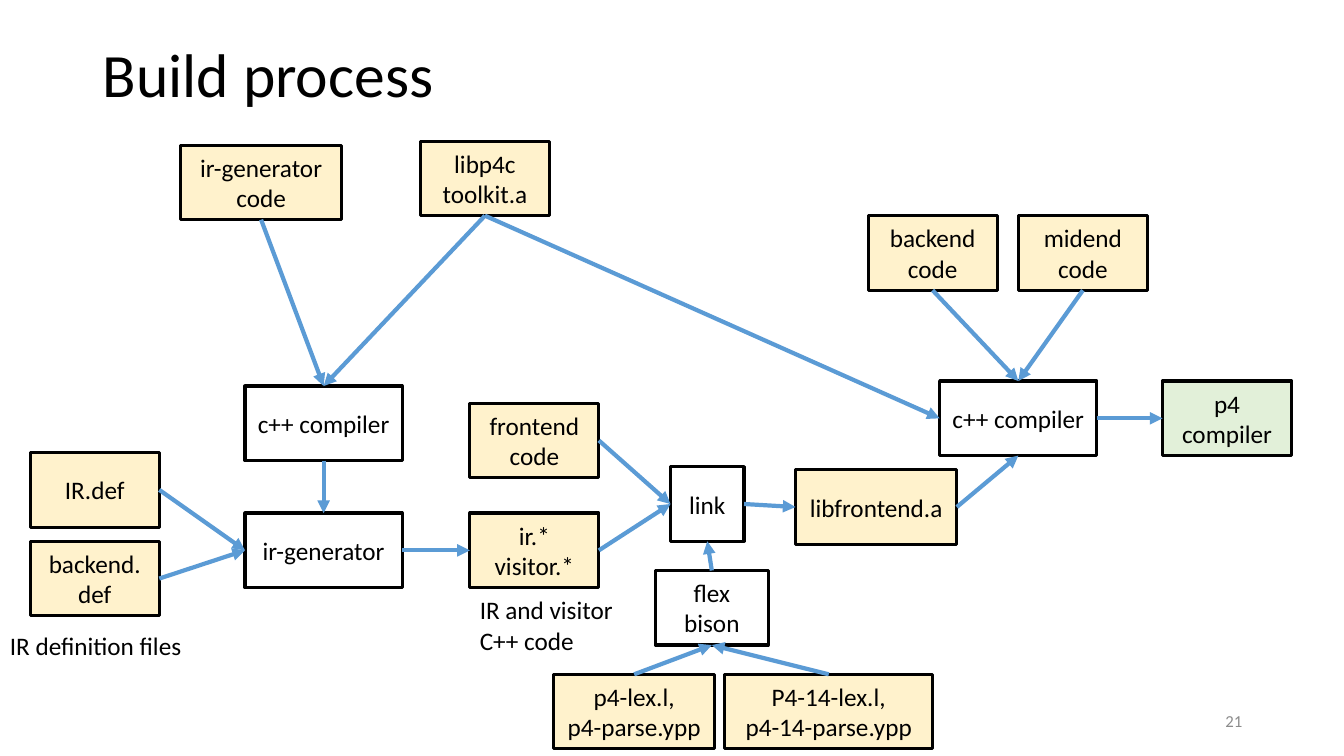
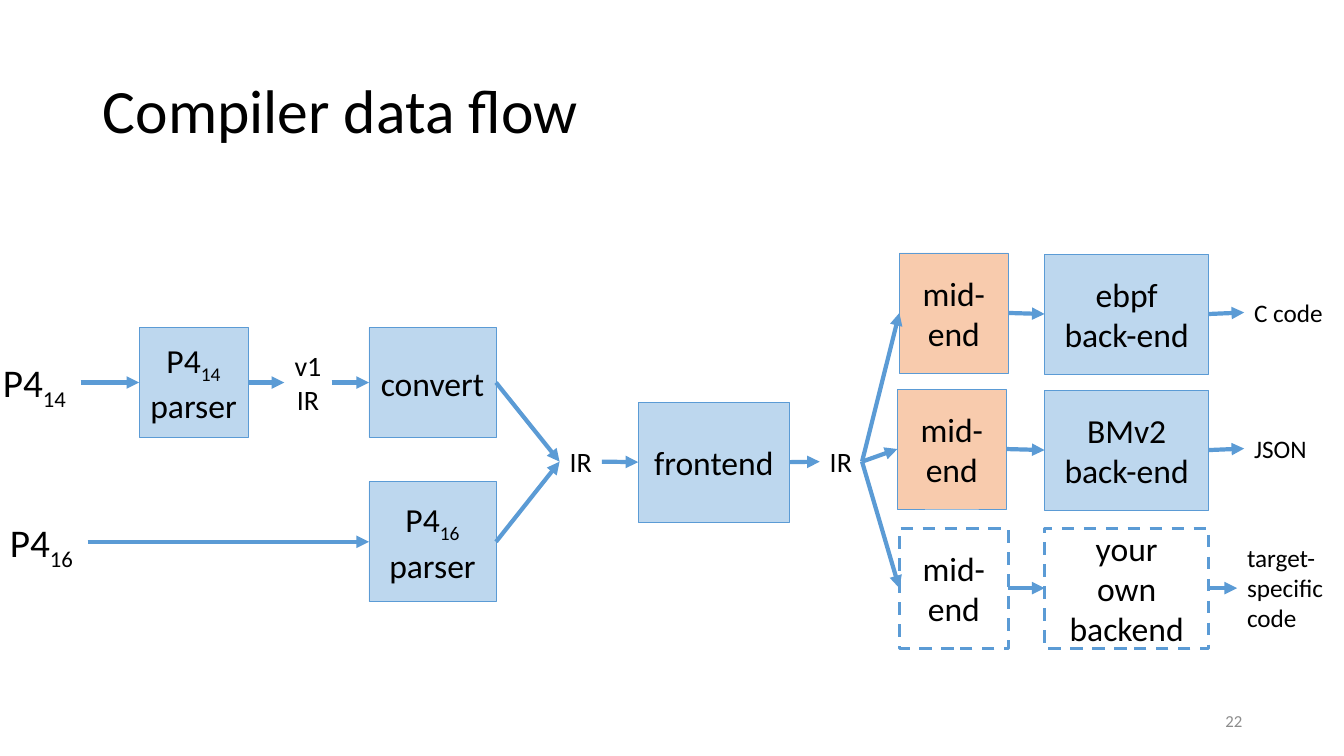
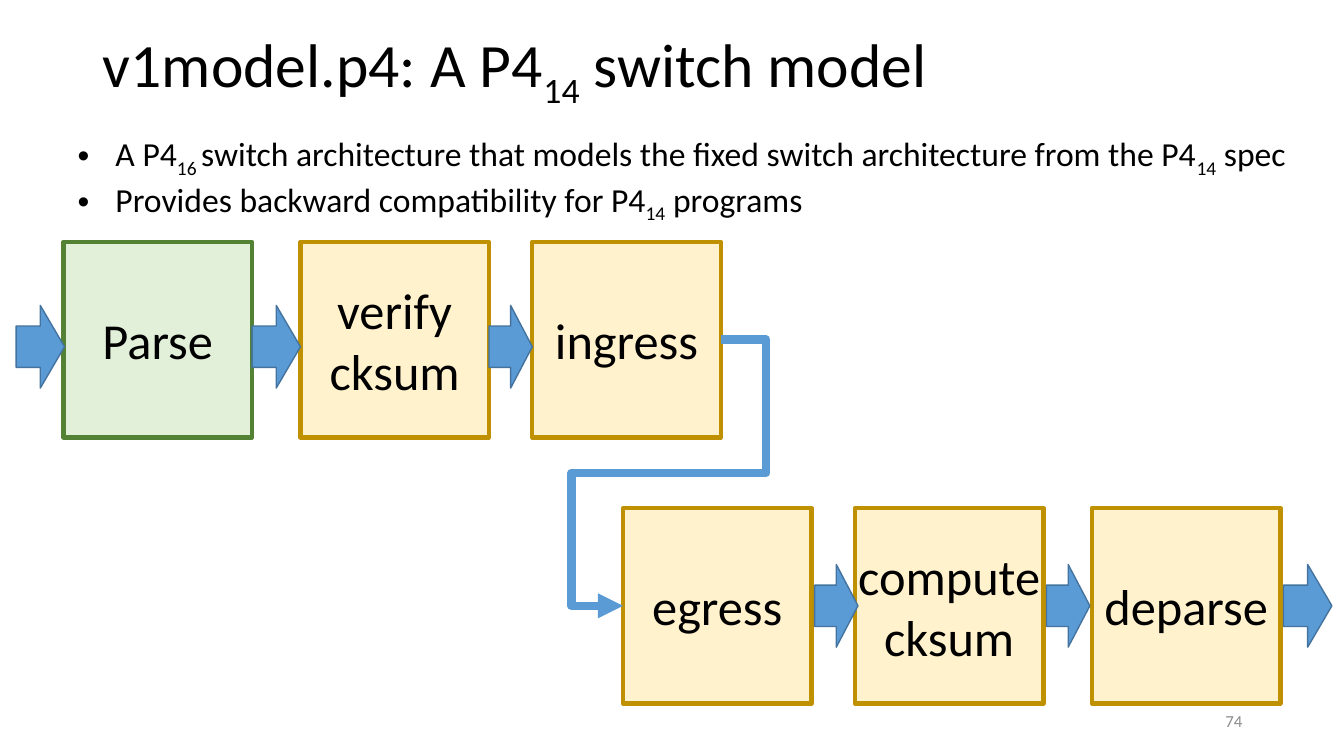
from lxml import etree
from pptx import Presentation
from pptx.dml.color import RGBColor
from pptx.enum.dml import MSO_LINE
from pptx.enum.shapes import MSO_CONNECTOR, MSO_SHAPE
from pptx.enum.text import MSO_ANCHOR, MSO_AUTO_SIZE, PP_ALIGN
from pptx.oxml.ns import qn
from pptx.util import Emu, Pt

PX = 9144  # EMU per px, 100 px to the inch
FONT = "Calibri"
LEFT, CENTER, RIGHT = PP_ALIGN.LEFT, PP_ALIGN.CENTER, PP_ALIGN.RIGHT
MIDDLE, TOP = MSO_ANCHOR.MIDDLE, MSO_ANCHOR.TOP
STRAIGHT, ELBOW = MSO_CONNECTOR.STRAIGHT, MSO_CONNECTOR.ELBOW
TITLE_ONLY, TITLE_AND_CONTENT = 5, 1
SITES = {"top": 0, "left": 1, "bottom": 2, "right": 3}

COLORS = {
    "text": "000000", "number": "8C8C8C", "white": "FFFFFF",
    "cream": "FFF2CC", "gold": "BF9000",
    "mint": "E2F0D9", "green": "548235",
    "sky": "BDD7EE", "blue": "5B9BD5", "navy": "43739E", "peach": "F8CBAD",
}

# style: text size, fill, outline, outline width, dashed
BOX_STYLES = {
    "input": (18, "cream", "text", 2.25, False),
    "tool": (18, "white", "text", 2.25, False),
    "product": (18, "mint", "text", 2.25, False),
    "stage": (24, "sky", "blue", 0.5, False),
    "midend": (24, "peach", "blue", 0.5, False),
    "custom": (24, None, "blue", 2.25, True),
    "parser": (36, "mint", "green", 3, False),
    "control": (36, "cream", "gold", 3, False),
}
# style: text size, alignment
LABEL_STYLES = {
    "note": (18, LEFT),
    "language": (28, LEFT),
    "ir": (20, CENTER),
}

# Text between tildes is subscript.
# part: text, style, left, top, width, height
BUILD_PARTS = {
    "ir def": ("IR.def", "input", 30, 449, 128, 74),
    "backend def": ("backend.\ndef", "input", 30, 537, 128, 74),
    "definition note": ("IR definition files", "note", 0, 620, 193, 40),
    "generator code": ("ir-generator\ncode", "input", 179, 144, 160, 74),
    "toolkit": ("libp4c\ntoolkit.a", "input", 417, 140, 128, 74),
    "generator compiler": ("c++ compiler", "tool", 243, 383, 156, 74),
    "generator": ("ir-generator", "tool", 243, 509, 156, 74),
    "frontend code": ("frontend\ncode", "input", 466, 400, 128, 74),
    "visitor code": ("ir.*\nvisitor.*", "input", 466, 509, 128, 74),
    "visitor note": ("IR and visitor\nC++ code", "note", 466, 585, 159, 71),
    "link": ("link", "tool", 665, 463, 73, 74),
    "flex bison": ("flex\nbison", "tool", 650, 566, 112, 74),
    "p4 grammar": ("p4-lex.l,\np4-parse.ypp", "input", 549, 669, 160, 74),
    "p4-14 grammar": ("P4-14-lex.l,\np4-14-parse.ypp", "input", 719, 669, 206, 74),
    "libfrontend": ("libfrontend.a", "input", 789, 466, 160, 74),
    "backend code": ("backend\ncode", "input", 861, 214, 128, 74),
    "midend code": ("midend\ncode", "input", 1010, 214, 128, 74),
    "final compiler": ("c++ compiler", "tool", 932, 378, 156, 74),
    "p4 compiler": ("p4\ncompiler", "product", 1153, 378, 128, 74),
}
# arrow: from part, side, to part, side
BUILD_ARROWS = [
    ("ir def", "right", "generator", "left"),
    ("backend def", "right", "generator", "left"),
    ("generator code", "bottom", "generator compiler", "top"),
    ("toolkit", "bottom", "generator compiler", "top"),
    ("toolkit", "bottom", "final compiler", "left"),
    ("generator compiler", "bottom", "generator", "top"),
    ("generator", "right", "visitor code", "left"),
    ("frontend code", "right", "link", "left"),
    ("visitor code", "right", "link", "left"),
    ("p4 grammar", "top", "flex bison", "bottom"),
    ("p4-14 grammar", "top", "flex bison", "bottom"),
    ("flex bison", "top", "link", "bottom"),
    ("link", "right", "libfrontend", "left"),
    ("libfrontend", "right", "final compiler", "bottom"),
    ("backend code", "bottom", "final compiler", "top"),
    ("midend code", "bottom", "final compiler", "top"),
    ("final compiler", "right", "p4 compiler", "left"),
]

FLOW_PARTS = {
    "p4-14": ("P4~14~", "language", -7, 351, 87, 57),
    "p4-16": ("P4~16~", "language", 0, 509, 87, 57),
    "p4-14 parser": ("P4~14~\nparser", "stage", 138, 325, 108, 109),
    "v1 ir": ("v1\nIR", "ir", 282, 341, 47, 77),
    "convert": ("convert", "stage", 366, 325, 126, 109),
    "p4-16 parser": ("P4~16~\nparser", "stage", 366, 478, 126, 119),
    "ir in": ("IR", "ir", 555, 436, 42, 44),
    "frontend": ("frontend", "stage", 633, 399, 150, 119),
    "ir out": ("IR", "ir", 813, 436, 42, 44),
    "ebpf midend": ("mid-\nend", "midend", 892, 251, 108, 119),
    "bmv2 midend": ("mid-\nend", "midend", 890, 386, 108, 119),
    "own midend": ("mid-\nend", "custom", 892, 524, 108, 119),
    "ebpf backend": ("ebpf\nback-end", "stage", 1036, 252, 163, 119),
    "bmv2 backend": ("BMv2\nback-end", "stage", 1036, 387, 163, 119),
    "own backend": ("your\nown\nbackend", "custom", 1036, 524, 163, 119),
    "c code": ("C code", "note", 1234, 290, 89, 40),
    "json": ("JSON", "note", 1234, 425, 73, 40),
    "target code": ("target-\nspecific\ncode", "note", 1227, 533, 97, 101),
}
FLOW_PATHS = [
    ("p4-14", "p4-14 parser", "v1 ir", "convert", "ir in", "frontend", "ir out"),
    ("p4-16", "p4-16 parser", "ir in"),
    ("ir out", "ebpf midend", "ebpf backend", "c code"),
    ("ir out", "bmv2 midend", "bmv2 backend", "json"),
    ("ir out", "own midend", "own backend", "target code"),
]
FLOW_ARROWS = [(start, "right", end, "left")
               for path in FLOW_PATHS for start, end in zip(path, path[1:])]

MODEL_POINTS = ("A P4~16 ~switch architecture that models the fixed switch "
                "architecture from the P4~14~ spec\n"
                "Provides backward compatibility for P4~14~ programs")
STAGE_SIZE = (187, 194)
# row: stage top, stages (text, style, left), arrow top, arrows (left, width)
MODEL_ROWS = [
    (240, [("Parse", "parser", 63), ("verify\ncksum", "control", 298),
           ("ingress", "control", 528)],
     303, [(16, 48), (250, 48), (485, 43)]),
    (504, [("egress", "control", 618), ("compute\ncksum", "control", 848),
           ("deparse", "control", 1083)],
     560, [(808, 43), (1038, 43), (1273, 48)]),
]
BLOCK_ARROW_HEIGHT = 82
WRAP_BENDS = {"adj1": -46500, "adj2": 50000, "adj3": 152700}


def rgb(name):
    return RGBColor.from_string(COLORS[name])


def px(*lengths):
    return [Emu(length * PX) for length in lengths]


def write(frame, text, size, align, anchor, color="text", wrap=False, spacing=None):
    """Fill a frame: one paragraph a line, subscripts between tildes."""
    frame.word_wrap = wrap
    frame.vertical_anchor = anchor
    for index, line in enumerate(text.split("\n")):
        paragraph = frame.add_paragraph() if index else frame.paragraphs[0]
        paragraph.alignment = align
        paragraph.space_before = Pt(0)
        if spacing:
            paragraph.line_spacing = spacing
        for position, piece in enumerate(line.split("~")):
            if not piece:
                continue
            run = paragraph.add_run()
            run.text = piece
            run.font.size = Pt(size)
            run.font.name = FONT
            run.font.color.rgb = rgb(color)
            if position % 2:
                run.font._element.set("baseline", "-25000")


def write_placeholder(placeholder, bounds, text, size, anchor, spacing):
    placeholder.left, placeholder.top, placeholder.width, placeholder.height = px(*bounds)
    placeholder.text_frame.auto_size = MSO_AUTO_SIZE.NONE
    write(placeholder.text_frame, text, size, LEFT, anchor, wrap=True, spacing=spacing)


def new_slide(deck, layout, title, title_top, title_height, number):
    slide = deck.slides.add_slide(deck.slide_layouts[layout])
    write_placeholder(slide.shapes.title, (92, title_top, 1150, title_height),
                      title, 44, MIDDLE, 0.9)
    footer = slide.shapes.add_textbox(*px(942, 695, 300, 40))
    write(footer.text_frame, str(number), 12, RIGHT, MIDDLE, "number", wrap=True)
    return slide


def add_filled(slide, preset, bounds, fill, outline, weight):
    shape = slide.shapes.add_shape(preset, *px(*bounds))
    shape.shadow.inherit = False
    if fill:
        shape.fill.solid()
        shape.fill.fore_color.rgb = rgb(fill)
    else:
        shape.fill.background()
    shape.line.color.rgb = rgb(outline)
    shape.line.width = Pt(weight)
    return shape


def add_part(slide, text, style, *bounds):
    """Add a box or a plain label, as the style says."""
    if style in LABEL_STYLES:
        size, align = LABEL_STYLES[style]
        label = slide.shapes.add_textbox(*px(*bounds))
        write(label.text_frame, text, size, align, TOP)
        label.text_frame.auto_size = MSO_AUTO_SIZE.SHAPE_TO_FIT_TEXT
        return label
    size, fill, outline, weight, dashed = BOX_STYLES[style]
    box = add_filled(slide, MSO_SHAPE.RECTANGLE, bounds, fill, outline, weight)
    if dashed:
        box.line.dash_style = MSO_LINE.DASH
    write(box.text_frame, text, size, CENTER, MIDDLE)
    return box


def add_arrow(slide, start, start_side, end, end_side, kind=STRAIGHT, weight=3):
    arrow = slide.shapes.add_connector(kind, 0, 0, 0, 0)
    arrow.begin_connect(start, SITES[start_side])
    arrow.end_connect(end, SITES[end_side])
    arrow.line.color.rgb = rgb("blue")
    arrow.line.width = Pt(weight)
    properties = arrow._element.spPr
    etree.SubElement(properties.find(qn("a:ln")), qn("a:tailEnd"), type="triangle")
    etree.SubElement(properties, qn("a:effectLst"))
    return arrow


def bend(arrow, bends):
    """Give an elbow arrow five segments."""
    geometry = arrow._element.spPr.find(qn("a:prstGeom"))
    geometry.set("prst", "bentConnector5")
    guides = geometry.find(qn("a:avLst"))
    if guides is None:
        guides = etree.SubElement(geometry, qn("a:avLst"))
    for name, value in bends.items():
        etree.SubElement(guides, qn("a:gd"), name=name, fmla=f"val {value}")


def add_diagram(slide, parts, arrows):
    placed = {name: add_part(slide, *part) for name, part in parts.items()}
    for start, start_side, end, end_side in arrows:
        add_arrow(slide, placed[start], start_side, placed[end], end_side)


def add_switch_model(slide):
    write_placeholder(slide.placeholders[1], (67, 127, 1236, 91),
                      MODEL_POINTS, 24, TOP, 1.0)
    rows = []
    for stage_top, stages, arrow_top, arrows in MODEL_ROWS:
        rows.append([add_part(slide, text, style, left, stage_top, *STAGE_SIZE)
                     for text, style, left in stages])
        for left, width in arrows:
            add_filled(slide, MSO_SHAPE.RIGHT_ARROW,
                       (left, arrow_top, width, BLOCK_ARROW_HEIGHT), "blue", "navy", 1)
    ingress, egress = rows[0][-1], rows[1][0]
    bend(add_arrow(slide, ingress, "right", egress, "left", ELBOW, 6), WRAP_BENDS)


def main():
    deck = Presentation()
    deck.slide_width, deck.slide_height = px(1333, 750)
    build = new_slide(deck, TITLE_ONLY, "Build process", 4, 145, 21)
    add_diagram(build, BUILD_PARTS, BUILD_ARROWS)
    flow = new_slide(deck, TITLE_ONLY, "Compiler data flow", 40, 145, 22)
    add_diagram(flow, FLOW_PARTS, FLOW_ARROWS)
    model = new_slide(deck, TITLE_AND_CONTENT,
                      "v1model.p4: A P4~14~ switch model", 10, 109, 74)
    add_switch_model(model)
    deck.save("out.pptx")


if __name__ == "__main__":
    main()
